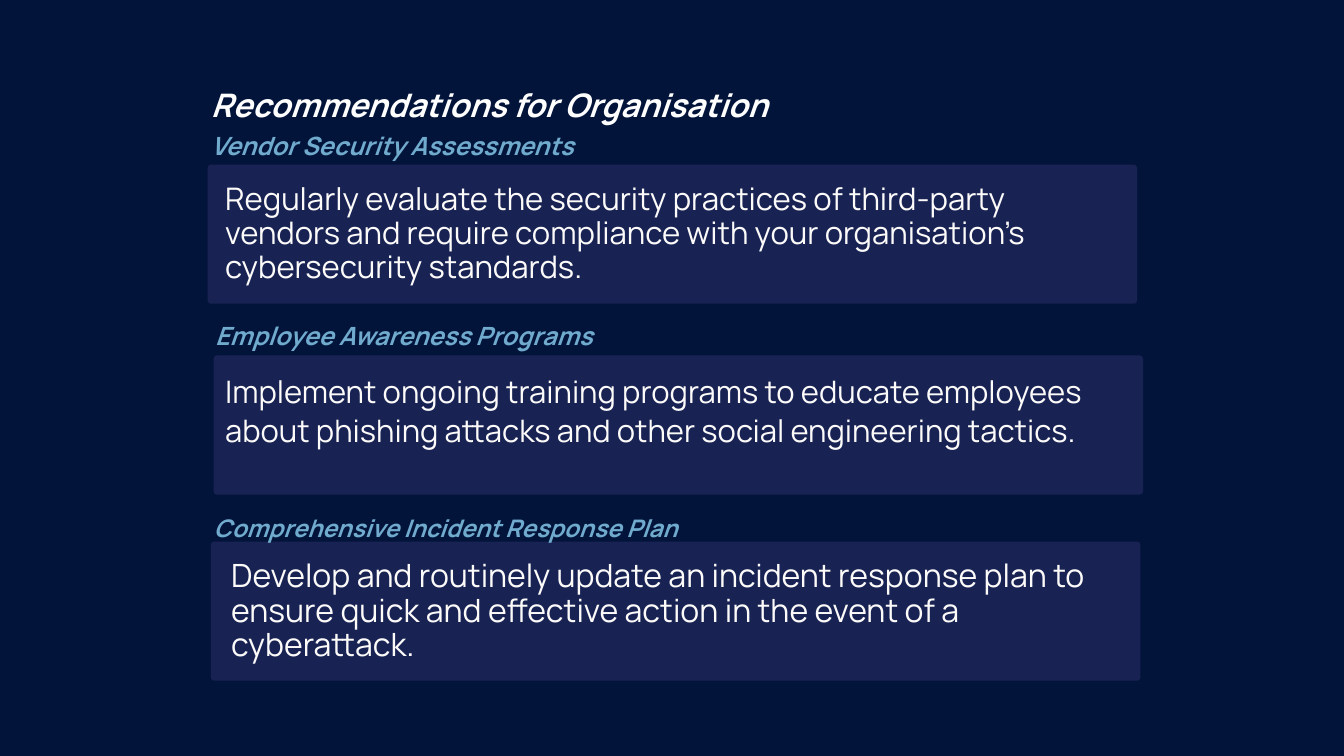
from lxml import etree
from pptx import Presentation
from pptx.dml.color import RGBColor
from pptx.enum.shapes import MSO_SHAPE
from pptx.enum.text import MSO_ANCHOR, PP_ALIGN
from pptx.oxml.ns import qn
from pptx.util import Pt

ROUNDED = MSO_SHAPE.ROUNDED_RECTANGLE
TOP, LEFT = MSO_ANCHOR.TOP, PP_ALIGN.LEFT

PX = 9144  # 100 px to the inch
SLIDE_W, SLIDE_H = 2000, 1125
CARD_W, CARD_H, CARD_RADIUS = 1383, 207, 5
FONT = "Manrope"
NAVY, INDIGO, WHITE, CREAM, SKY = "03143B", "2A3066", "FFFFFF", "FCFBFA", "70ABCE"
CARD_OPACITY = 56

# Content: boxes are (left, top, width, height) in px, sizes and leading in points
TITLE = dict(text="Recommendations for Organisation",
             box=(314, 133, 1023, 56), size=34.7, leading=37.4)
RECOMMENDATIONS = [
    dict(card=(309, 245),
         heading=dict(text="Vendor Security Assessments",
                      box=(314, 198, 610, 44), size=26.9, leading=29.1),
         advice=dict(text="Regularly evaluate the security practices of third-party vendors "
                          "and require compliance with your organisation's cybersecurity "
                          "standards.",
                     box=(335, 273, 1320, 151), size=33.3, leading=36)),
    dict(card=(318, 529),
         heading=dict(text="Employee Awareness Programs",
                      box=(320, 481, 748, 44), size=26.9, leading=29.1),
         advice=dict(text="Implement ongoing training programs to educate employees about "
                          "phishing attacks and other social engineering tactics.",
                     box=(335, 552, 1356, 289), size=33.2, leading=41.9)),
    dict(card=(314, 806),
         heading=dict(text="Comprehensive Incident Response Plan",
                      box=(318, 768, 751, 42), size=25.9, leading=28),
         advice=dict(text="Develop and routinely update an incident response plan to ensure "
                          "quick and effective action in the event of a cyberattack.",
                     box=(344, 833, 1338, 158), size=34.3, leading=37)),
]


def rgb(hex_code):
    return RGBColor.from_string(hex_code)


def emu(*lengths):
    return [length * PX for length in lengths]


def add_text(slide, text, *, box, size, leading, color, emphasis=False):
    frame = slide.shapes.add_textbox(*emu(*box)).text_frame
    frame.word_wrap = True
    frame.vertical_anchor = TOP
    frame.margin_left = frame.margin_top = frame.margin_right = frame.margin_bottom = 0
    paragraph = frame.paragraphs[0]
    paragraph.alignment = LEFT
    paragraph.line_spacing = Pt(leading)
    run = paragraph.add_run()
    run.text = text
    run.font.name = FONT
    run.font.size = Pt(size)
    run.font.bold = run.font.italic = emphasis
    run.font.color.rgb = rgb(color)


def add_card(slide, left, top):
    card = slide.shapes.add_shape(ROUNDED, *emu(left, top, CARD_W, CARD_H))
    card.adjustments[0] = CARD_RADIUS / CARD_H
    card.shadow.inherit = False
    card.line.fill.background()
    card.fill.solid()
    card.fill.fore_color.rgb = rgb(INDIGO)
    color = card.fill._xPr.find(".//" + qn("a:srgbClr"))
    etree.SubElement(color, qn("a:alpha"), val=str(CARD_OPACITY * 1000))


def main():
    deck = Presentation()
    deck.slide_width, deck.slide_height = emu(SLIDE_W, SLIDE_H)
    slide = deck.slides.add_slide(deck.slide_layouts[6])
    slide.background.fill.solid()
    slide.background.fill.fore_color.rgb = rgb(NAVY)

    # Title
    add_text(slide, **TITLE, color=WHITE, emphasis=True)

    # Each recommendation: card, heading above it, advice inside it
    for item in RECOMMENDATIONS:
        add_card(slide, *item["card"])
        add_text(slide, **item["heading"], color=SKY, emphasis=True)
        add_text(slide, **item["advice"], color=CREAM)

    deck.save("out.pptx")


if __name__ == "__main__":
    main()
